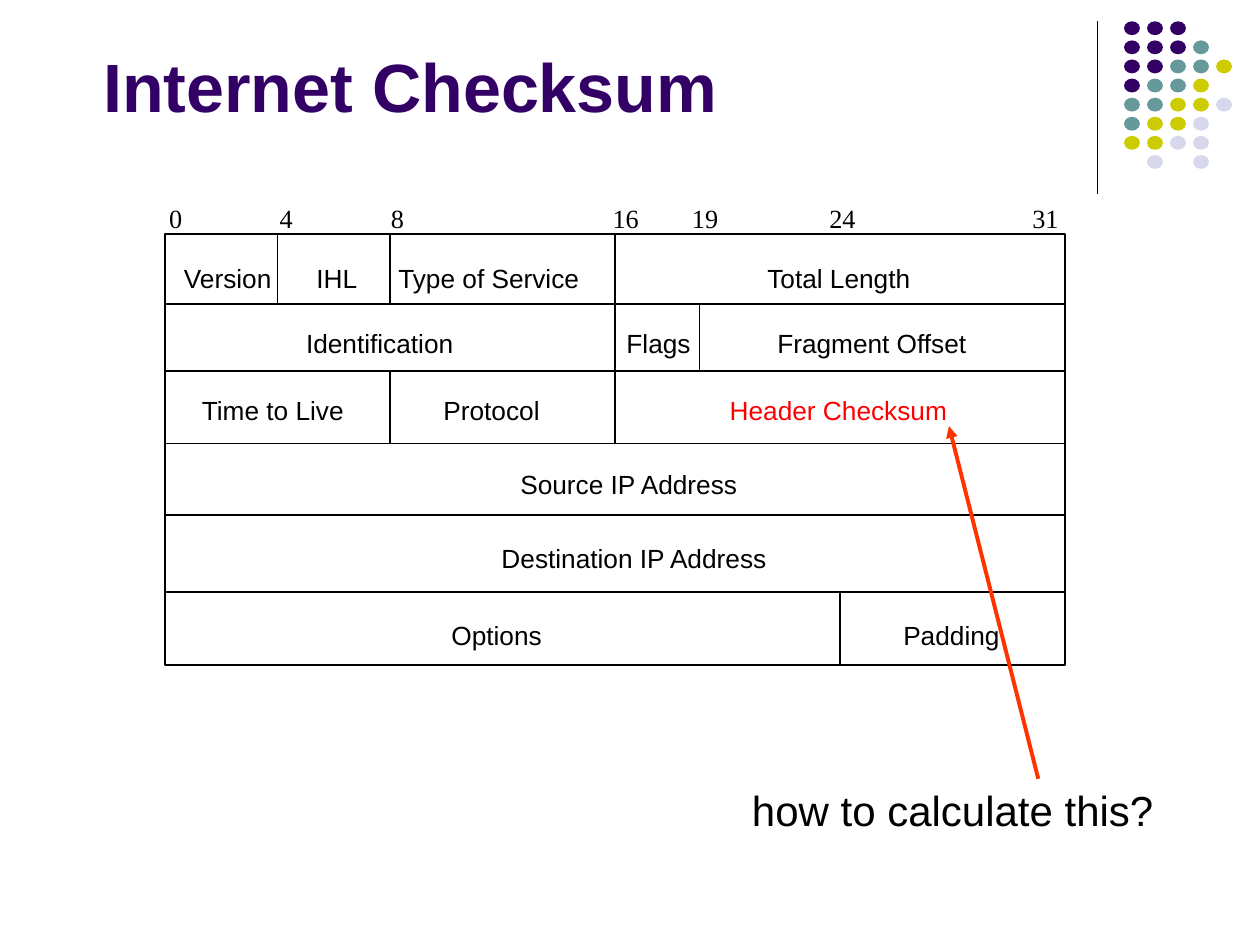
from lxml import etree
from pptx import Presentation
from pptx.dml.color import RGBColor
from pptx.enum.shapes import MSO_CONNECTOR, MSO_SHAPE
from pptx.enum.text import MSO_ANCHOR
from pptx.oxml.ns import qn
from pptx.util import Cm, Pt

STRAIGHT = MSO_CONNECTOR.STRAIGHT
OVAL = MSO_SHAPE.OVAL
RECTANGLE = MSO_SHAPE.RECTANGLE
MIDDLE = MSO_ANCHOR.MIDDLE

BLACK = RGBColor(0x00, 0x00, 0x00)
PURPLE = RGBColor(0x33, 0x00, 0x66)
TEAL = RGBColor(0x66, 0x99, 0x99)
OLIVE = RGBColor(0xCC, 0xCC, 0x00)
LAVENDER = RGBColor(0xD8, 0xD8, 0xEC)
RED = RGBColor(0xFF, 0x00, 0x00)
ORANGE = RGBColor(0xFF, 0x33, 0x00)

# One letter per dot; a blank leaves the place empty
DOT_COLORS = {"P": PURPLE, "T": TEAL, "O": OLIVE, "L": LAVENDER}
DOT_ROWS = ["PPP", "PPPT", "PPTTO", "PTTO", "TTOOL", "TOOL", "OOLL", " L L"]

# Header rows: top, bottom, inner bit boundaries, text top, text width, [(x, label)]
HEADER_ROWS = [
    (0, 1.41, [4, 8, 16], 0.56, 14.83,
     [(0.38, "Version"), (3.05, "IHL"), (4.7, "Type of Service"), (12.14, "Total Length")]),
    (1.41, 2.76, [16, 19], 1.88, 13.39,
     [(2.84, "Identification"), (9.3, "Flags"), (12.34, "Fragment Offset")]),
    (2.76, 4.22, [8, 16], 3.23, 15.09,
     [(0.74, "Time to Live"), (5.61, "Protocol"), (11.38, "Header Checksum")]),
    (4.22, 5.66, [], 4.72, 4.42, [(7.16, "Source IP Address")]),
    (5.66, 7.21, [], 6.22, 5.38, [(6.78, "Destination IP Address")]),
    (7.21, 8.69, [24], 7.77, 11.13, [(5.77, "Options"), (14.88, "Padding")]),
]
BIT_SCALE = [(0.08, "0"), (2.31, "4"), (4.55, "8"), (9.02, "16"),
             (10.62, "19"), (13.39, "24"), (17.48, "31")]


def add_line(slide, x1, y1, x2, y2, color=BLACK, width=0.88):
    line = slide.shapes.add_connector(STRAIGHT, Cm(x1), Cm(y1), Cm(x2), Cm(y2))
    line.line.color.rgb = color
    line.line.width = Pt(width)
    etree.SubElement(line._element.spPr, qn("a:effectLst"))
    return line


def add_text(slide, left, top, width, height, text, size, color=BLACK, font="Arial", bold=False):
    """Add a one-paragraph text box and return its text frame."""
    frame = slide.shapes.add_textbox(Cm(left), Cm(top), Cm(width), Cm(height)).text_frame
    frame.word_wrap = True
    paragraph = frame.paragraphs[0]
    paragraph.text = text
    paragraph.font.size = Pt(size)
    paragraph.font.name = font
    paragraph.font.color.rgb = color
    paragraph.font.bold = bold
    return frame


def add_label_row(slide, left, top, width, labels, font="Arial"):
    """Place labels in one line, each at its own tab stop."""
    start = labels[0][0]
    text = "\t".join(label for _, label in labels)
    frame = add_text(slide, left + start, top, width + 0.2, 0.64, text, 15, font=font)
    frame.margin_left = frame.margin_right = frame.margin_top = frame.margin_bottom = 0
    properties = frame.paragraphs[0]._p.get_or_add_pPr()
    tab_list = etree.Element(qn("a:tabLst"))
    for x, _ in labels[1:]:
        etree.SubElement(tab_list, qn("a:tab"), pos=str(Cm(x - start)), algn="l")
    properties.insert(0, tab_list)
    return frame


def add_corner_dots(slide, left, top):
    """Vertical rule with the grid of coloured dots beside it."""
    add_line(slide, left, top, left, top + 3.48, width=0.75)
    for row, letters in enumerate(DOT_ROWS):
        for column, letter in enumerate(letters):
            if letter == " ":
                continue
            dot = slide.shapes.add_shape(OVAL, Cm(left + 0.54 + column * 0.464),
                                         Cm(top + row * 0.385), Cm(0.32), Cm(0.28))
            dot.shadow.inherit = False
            dot.fill.solid()
            dot.fill.fore_color.rgb = DOT_COLORS[letter]
            dot.line.fill.background()


def add_header_diagram(slide, left, top, width, height):
    """IP header: bit scale, frame, row and field boundaries, labels."""
    frame = slide.shapes.add_shape(RECTANGLE, Cm(left), Cm(top), Cm(width), Cm(height))
    frame.shadow.inherit = False
    frame.fill.background()
    frame.line.color.rgb = BLACK
    frame.line.width = Pt(0.88)

    add_label_row(slide, left, top - 0.64, 17.98, BIT_SCALE, "Times New Roman")
    for row_top, row_bottom, bits, text_top, text_width, labels in HEADER_ROWS:
        if row_top:
            add_line(slide, left, top + row_top, left + width, top + row_top)
        for bit in bits:
            x = left + width * bit / 32
            add_line(slide, x, top + row_top, x, top + row_bottom)
        text = add_label_row(slide, left, top + text_top, text_width, labels)
        for run in text.paragraphs[0].runs:
            before, found, _ = run.text.partition("Header Checksum")
            if found:
                run.text = before
                checksum = text.paragraphs[0].add_run()
                checksum.text = found
                checksum.font.color.rgb = RED


def add_question(slide, left, top, width, height):
    """Question with an arrow up to the checksum field."""
    arrow = add_line(slide, left + 6.02, top, left + 4.22, top - 7.11, ORANGE, 2.25)
    etree.SubElement(arrow.line._get_or_add_ln(), qn("a:tailEnd"), type="triangle")
    add_text(slide, left, top, width, height, "how to calculate this?", 24)


def main():
    presentation = Presentation()
    presentation.slide_width = Cm(25.4)
    presentation.slide_height = Cm(19.05)
    slide = presentation.slides.add_slide(presentation.slide_layouts[6])

    add_corner_dots(slide, 22.12, 0.43)
    title = add_text(slide, 1.83, 0.79, 19.69, 1.85, "Internet Checksum", 39, PURPLE, bold=True)
    title.vertical_anchor = MIDDLE
    add_header_diagram(slide, 3.33, 4.72, 18.14, 8.69)
    add_question(slide, 14.91, 15.7, 9.32, 1.27)

    presentation.save("out.pptx")


if __name__ == "__main__":
    main()
